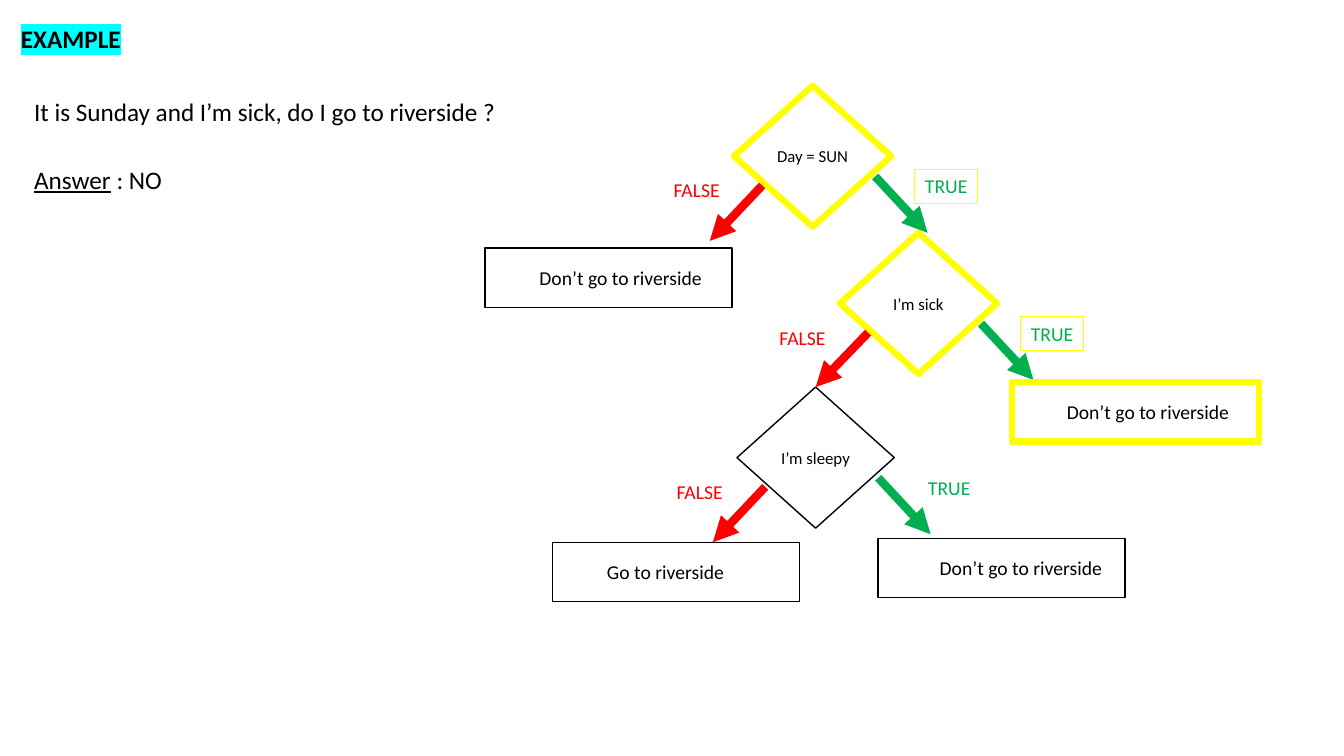
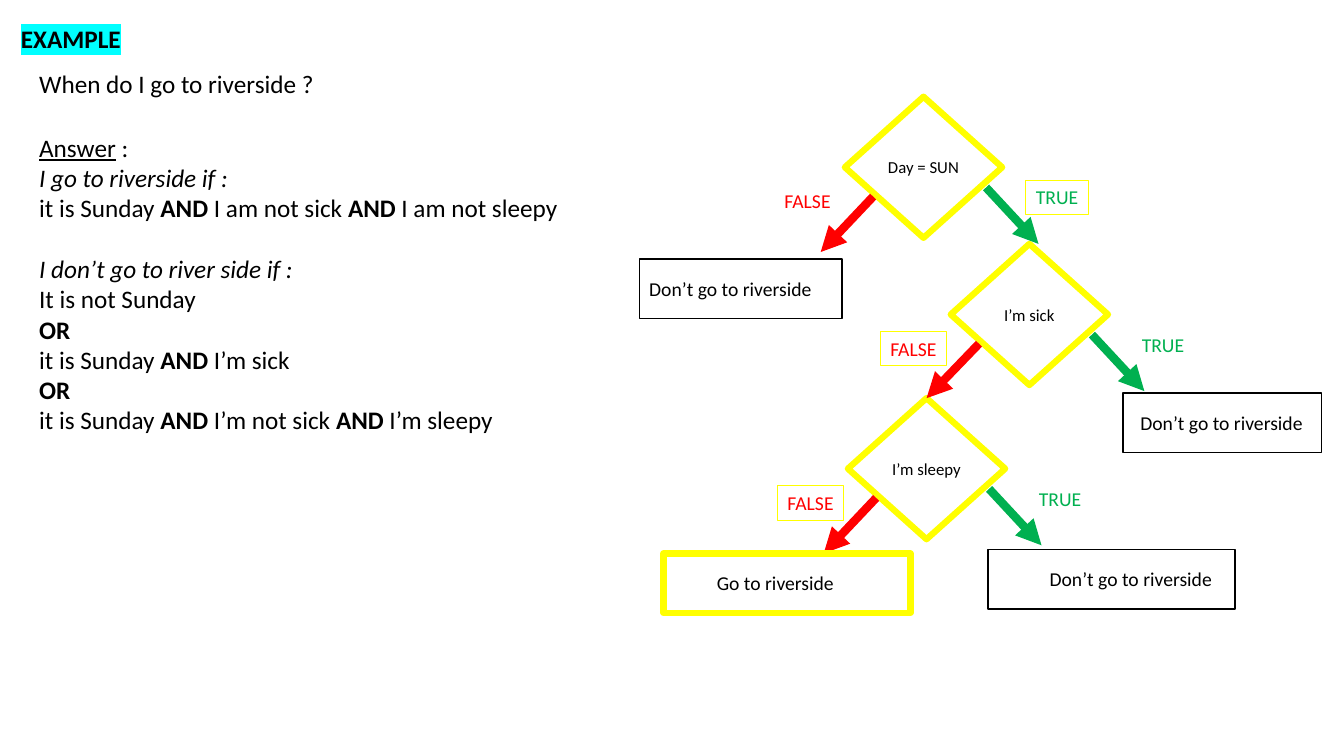
from lxml import etree
from pptx import Presentation
from pptx.dml.color import RGBColor
from pptx.enum.shapes import MSO_CONNECTOR, MSO_SHAPE
from pptx.enum.text import MSO_ANCHOR, PP_ALIGN
from pptx.oxml.ns import qn
from pptx.util import Emu, Inches, Pt

DIAMOND, RECT = MSO_SHAPE.DIAMOND, MSO_SHAPE.RECTANGLE
LINE = MSO_CONNECTOR.STRAIGHT
LEFT, MID = PP_ALIGN.LEFT, PP_ALIGN.CENTER
CENTRE = MSO_ANCHOR.MIDDLE
HEX = {"ink": "000000", "paper": "FFFFFF", "hot": "FFFF00",
       "F": "FF0000", "T": "00B050", "mark": "00FFFF"}
RGB = {name: RGBColor.from_string(code) for name, code in HEX.items()}
FONT = "Calibri"
CELL = Inches(0.1)

NODES = [(0, 0, "Day = SUN"), (10.5, 14.6, "I’m sick"), (0.3, 29.9, "I’m sleepy")]
WIDE, TALL = 15.6, 14
ARMS = {"F": (2.8, 9.9, -2.4, 15.4), "T": (14, 9, 19.2, 14.6)}
TAGS = {"F": (-7, 8.7, 6.6, "FALSE"), "T": (17.9, 8.3, 6.3, "TRUE")}
LEAVES = [("F", 16.1, "Don’t go to riverside"), ("TT", 29.4, "Don’t go to riverside"),
          ("TFF", 45.3, "Go to riverside"), ("TFT", 44.9, "Don’t go to riverside")]

SLIDES = [
    {"at": (72.8, 8.5), "route": "TT",
     "spans": [(-24.7, 24.5, 5.4), (27.6, 24.5, 5.4), (-18, 24.5, 5.4), (14.3, 24.5, 6.1)],
     "notes": [
         (2.4, 9.1, 66.7, [(0, [("It is Sunday and I’m sick, do I go to riverside ?", "")])]),
         (2.4, 15.8, 14.8, [(0, [("Answer", "u"), (" : NO", "")])])]},
    {"at": (83.8, 9.6), "route": "TFF",
     "spans": [(-20.4, 20.1, 1), (27.6, 19.7, 1.7), (-18, 24.5, 5.3), (14.2, 24.5, 6.1)],
     "notes": [
         (2.9, 6.3, 66.7, [(0, [("When do I go to riverside ?", "")])]),
         (2.9, 12.6, 53.5, [
             (0, [("Answer", "u"), (" :", "")]),
             (0, [("I go to riverside if :", "i")]),
             (0, [("it is Sunday ", ""), ("AND", "b"), (" I am not sick ", ""),
                  ("AND", "b"), (" I am not sleepy", "")]),
             (22, [("I don’t go to river side if :", "i")]),
             (0, [("It is not Sunday", "")]),
             (0, [("OR", "b")]),
             (0, [("it is Sunday ", ""), ("AND ", "b"), ("I’m sick", "")]),
             (0, [("OR", "b")]),
             (0, [("it is Sunday ", ""), ("AND ", "b"), ("I’m not sick ", ""),
                  ("AND ", "b"), ("I’m sleepy", "")])])]},
]


def write(shape, paras, size, ink="ink", align=LEFT, wrap=True):
    frame = shape.text_frame
    frame.word_wrap = wrap
    for i, (gap, runs) in enumerate(paras):
        para = frame.add_paragraph() if i else frame.paragraphs[0]
        para.alignment = align
        para.space_before = Pt(gap)
        para.font.name = FONT
        para.font.size = Pt(size)
        para.font.color.rgb = RGB[ink]
        for text, style in runs:
            run = para.add_run()
            run.text = text
            if "b" in style:
                run.font.bold = True
            if "i" in style:
                run.font.italic = True
            if "u" in style:
                run.font.underline = True


def block(slide, kind, left, top, wide, tall, hot):
    box = [Emu(round(n * CELL)) for n in (left, top, wide, tall)]
    shape = slide.shapes.add_shape(kind, *box)
    shape.shadow.inherit = False
    if hot:
        shape.fill.background()
    else:
        shape.fill.solid()
        shape.fill.fore_color.rgb = RGB["paper"]
    shape.line.color.rgb = RGB["hot" if hot else "ink"]
    shape.line.width = Pt(4.5 if hot else 1)
    shape.text_frame.vertical_anchor = CENTRE
    return shape


deck = Presentation()
deck.slide_width, deck.slide_height = Inches(13.33), Inches(7.5)

for page in SLIDES:
    slide = deck.slides.add_slide(deck.slide_layouts[6])
    col, row = page["at"]
    route = page["route"]

    nodes = []
    for i, (dx, dy, text) in enumerate(NODES):
        node = block(slide, DIAMOND, col + dx, row + dy, WIDE, TALL, i < len(route))
        frame = node.text_frame
        frame.margin_left = frame.margin_right = 0
        write(node, [(0, [(text, "")])], 12, align=MID, wrap=False)
        nodes.append(node)

    for i, (dx, dy, _) in enumerate(NODES):
        left, top = col + dx, row + dy
        for way, (x1, y1, x2, y2) in ARMS.items():
            ends = [Emu(round(n * CELL)) for n in (left + x1, top + y1, left + x2, top + y2)]
            arm = slide.shapes.add_connector(LINE, *ends)
            arm.line.color.rgb = RGB[way]
            arm.line.width = Pt(6)
            etree.SubElement(arm.line._get_or_add_ln(), qn("a:tailEnd"), type="triangle")
            etree.SubElement(arm._element.spPr, qn("a:effectLst"))
            if (i, way) == (1, "F"):
                arm.end_connect(nodes[2], 0)

            x, y, wide, text = TAGS[way]
            box = [Emu(round(n * CELL)) for n in (left + x, top + y, wide, 3.4)]
            tag = slide.shapes.add_textbox(*box)
            write(tag, [(0, [(text, "")])], 14, way, MID, False)
            if route[i:i + 1] == way:
                tag.line.color.rgb = RGB["hot"]
                tag.line.width = Pt(0.75)

    for (way, dy, text), (dx, wide, inset) in zip(LEAVES, page["spans"]):
        leaf = block(slide, RECT, col + dx, row + dy, wide, 5.9, way == route)
        leaf.text_frame.margin_left = Emu(round(inset * CELL))
        leaf.text_frame.margin_right = 0
        write(leaf, [(0, [(text, "")])], 14)

    head = (1.1, 1.8, 12, [(0, [("EXAMPLE", "b")])])
    for left, top, wide, paras in page["notes"] + [head]:
        box = [Emu(round(n * CELL)) for n in (left, top, wide, 4 * len(paras))]
        note = slide.shapes.add_textbox(*box)
        write(note, paras, 18)
    props = note.text_frame.paragraphs[0].runs[0].font._element
    mark = etree.SubElement(props, qn("a:highlight"))
    etree.SubElement(mark, qn("a:srgbClr"), val=HEX["mark"])

deck.save("out.pptx")
